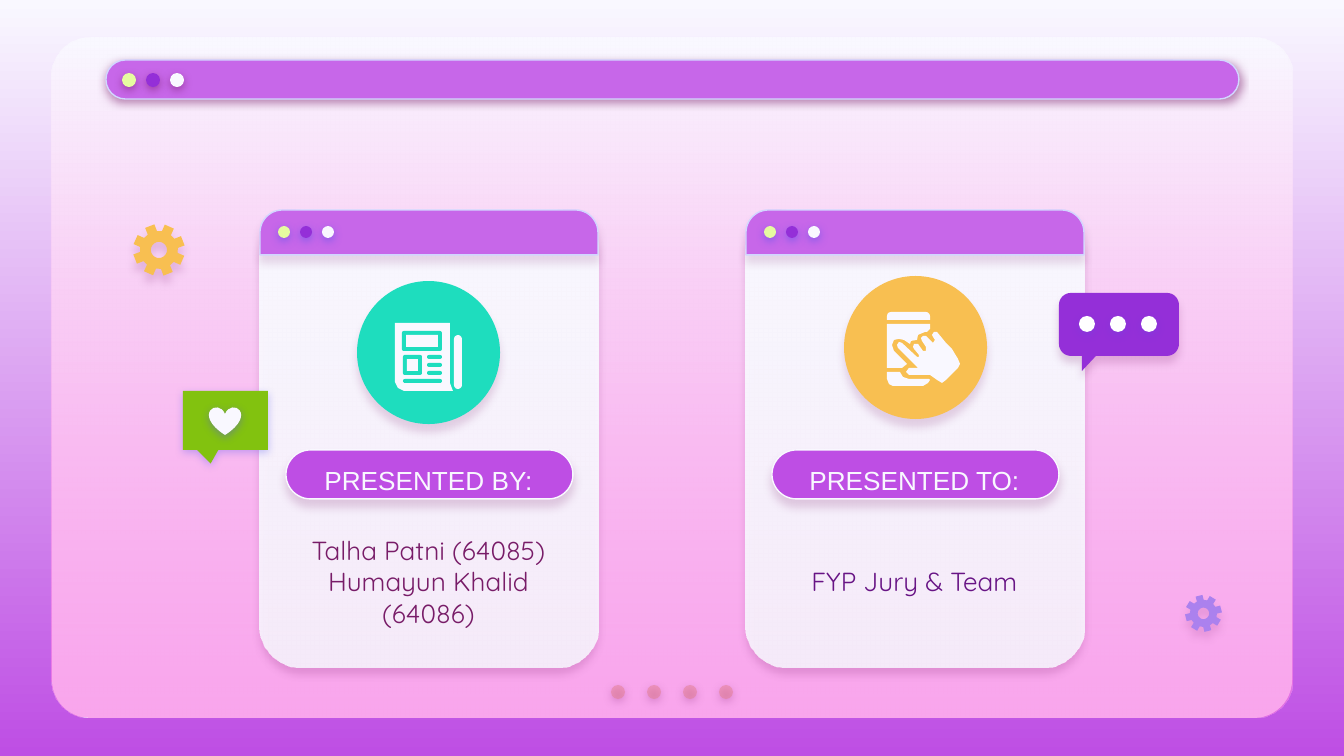
import math

import pptx
import pptx.dml.color
import pptx.enum.shapes
import pptx.enum.text
import pptx.oxml
import pptx.oxml.ns
import pptx.util

RGB = pptx.dml.color.RGBColor
SHAPE = pptx.enum.shapes.MSO_SHAPE

PALE = RGB(0xF9, 0xF8, 0xFF)
WHITE = RGB(0xFF, 0xFF, 0xFF)
ORCHID = RGB(0xBE, 0x4E, 0xE4)
LILAC = RGB(0xC7, 0x67, 0xE9)
PERIWINKLE = RGB(0xD2, 0xD6, 0xFF)
PINK = RGB(0xFA, 0x77, 0xE3)
ROSE = RGB(0xE2, 0x7B, 0x83)
LIME = RGB(0xE6, 0xFB, 0xA0)
VIOLET = RGB(0x94, 0x2F, 0xD8)
LAVENDER = RGB(0xAB, 0x81, 0xEE)
TEAL = RGB(0x1E, 0xDD, 0xBE)
AMBER = RGB(0xF8, 0xBF, 0x51)
GREEN = RGB(0x82, 0xC2, 0x0F)
PLUM = RGB(0x78, 0x1C, 0x68)
INDIGO = RGB(0x68, 0x14, 0x85)
BLUE = RGB(0x53, 0x52, 0xEE)

BUTTONS = (LIME, VIOLET, PALE)


def px(length):
    return round(length * 914400 / 134.4)


def set_alpha(color, percent):
    alpha = pptx.oxml.parse_xml(
        f'<a:alpha {pptx.oxml.ns.nsdecls("a")} val="{percent * 1000}"/>')
    color.append(alpha)


def set_gradient(fill, top, bottom):
    fill.gradient()
    fill.gradient_angle = 270
    for stop, color, position in zip(fill.gradient_stops, (top, bottom), (0, 1)):
        stop.color.rgb = color
        stop.position = position


def finish(shape, fill, line=None, shadow=None):
    if isinstance(fill, RGB):
        shape.fill.solid()
        shape.fill.fore_color.rgb = fill
    else:
        set_gradient(shape.fill, *fill)
    if line is None:
        shape.line.fill.background()
    else:
        shape.line.color.rgb = line
        shape.line.width = pptx.util.Pt(0.75)
    shape.shadow.inherit = False
    if shadow:
        color, opacity, distance = shadow
        effects = shape._element.spPr.find(pptx.oxml.ns.qn("a:effectLst"))
        effects.append(pptx.oxml.parse_xml(
            f'<a:outerShdw {pptx.oxml.ns.nsdecls("a")} blurRad="57150" '
            f'dist="{round(distance * 12700)}" dir="5400000" algn="bl" rotWithShape="0">'
            f'<a:srgbClr val="{color}"><a:alpha val="{opacity * 1000}"/></a:srgbClr>'
            '</a:outerShdw>'))
    return shape


def add_preset(slide, kind, box, fill, line=None, shadow=None, adjust=()):
    shape = slide.shapes.add_shape(kind, *map(px, box))
    for index, value in enumerate(adjust):
        shape.adjustments[index] = value
    return finish(shape, fill, line, shadow)


def add_outline(slide, left, top, contours, fill, shadow=None):
    placed = [[(px(left + x), px(top + y)) for x, y in points] for points in contours]
    builder = slide.shapes.build_freeform(*placed[0][0])
    for index, points in enumerate(placed):
        if index:
            builder.move_to(*points[0])
        builder.add_line_segments(points[1:], close=True)
    return finish(builder.convert_to_shape(), fill, shadow=shadow)


def arc(x, y, radius, start, end, steps):
    angles = [math.radians(start + (end - start) * i / steps) for i in range(steps + 1)]
    return [(x + radius * math.cos(a), y + radius * math.sin(a)) for a in angles]


def add_dots(slide, left, top, size, pitch, colors, shadow):
    return [add_preset(slide, SHAPE.OVAL, (left + i * pitch, top, size, size), color, shadow=shadow)
            for i, color in enumerate(colors)]


def add_label(slide, box, text, font, color, side=13):
    label = slide.shapes.add_textbox(*map(px, box))
    frame = label.text_frame
    frame.word_wrap = True
    frame.vertical_anchor = pptx.enum.text.MSO_ANCHOR.MIDDLE
    frame.margin_left = frame.margin_right = px(side)
    frame.margin_top = frame.margin_bottom = px(13)
    paragraph = frame.paragraphs[0]
    paragraph.text = text
    paragraph.alignment = pptx.enum.text.PP_ALIGN.CENTER
    paragraph.space_after = pptx.util.Pt(12)
    paragraph.font.name = font
    paragraph.font.size = pptx.util.Pt(14)
    paragraph.font.color.rgb = color


def browser_window(slide, left, top, width, height):
    box = (left, top, width, height)
    add_preset(slide, SHAPE.ROUNDED_RECTANGLE, box, PALE, adjust=[0.056])
    panel = add_preset(slide, SHAPE.ROUNDED_RECTANGLE, box, (PALE, PINK), adjust=[0.056])
    set_alpha(list(panel._element.iter(pptx.oxml.ns.qn("a:srgbClr")))[1], 63)
    soft = (PLUM, 50, 1.5)
    for dot in add_dots(slide, left + 559, top + 647, 14, 36, [ROSE] * 4, soft):
        set_alpha(next(dot._element.iter(pptx.oxml.ns.qn("a:srgbClr"))), 44)
    add_preset(slide, SHAPE.ROUNDED_RECTANGLE, (left + 54, top + 22, width - 107, 39),
               LILAC, PERIWINKLE, soft, [0.5])
    add_dots(slide, left + 70, top + 35, 14, 24, BUTTONS, soft)


def card(slide, left, top, width, height, heading, names, name_color, side):
    body = add_preset(slide, SHAPE.ROUNDED_RECTANGLE, (left, top, width, height),
                      (PALE, PALE), shadow=(PLUM, 22, 3.8), adjust=[0.124])
    set_alpha(list(body._element.iter(pptx.oxml.ns.qn("a:srgbClr")))[1], 87)
    add_preset(slide, SHAPE.ROUND_2_SAME_RECTANGLE, (left, top, width, 45),
               LILAC, PERIWINKLE, (PLUM, 15, 3.8), [0.5, 0])
    add_dots(slide, left + 18, top + 16, 12, 22, BUTTONS, (BLUE, 50, 1.5))
    add_preset(slide, SHAPE.ROUNDED_RECTANGLE, (left + 26, top + 240, width - 51, 49),
               ORCHID, PALE, (PLUM, 18, 3.8), [0.5])
    add_label(slide, (left + 32, top + 252, width - 65, 36), heading, "Arial", PALE)
    add_label(slide, (left + 32, top + 309, width - 65, 125), names, "Quicksand", name_color, side)


def newspaper_icon(slide, left, top, size):
    add_preset(slide, SHAPE.OVAL, (left, top, size, size), TEAL, shadow=(PLUM, 16, 4.5))
    page = [(38, 42), (93, 42), (93, 102), (96, 110), (47, 110), (41, 107), (38, 101)]
    add_outline(slide, left, top, [page], PALE)
    add_preset(slide, SHAPE.ROUNDED_RECTANGLE, (left + 97, top + 54, 8, 54), PALE, adjust=[0.5])
    for x, y, width, height in ((45, 50, 40, 20), (46, 74, 19, 20)):
        add_preset(slide, SHAPE.ROUNDED_RECTANGLE, (left + x, top + y, width, height),
                   TEAL, adjust=[0.1])
        add_preset(slide, SHAPE.RECTANGLE, (left + x + 4, top + y + 4, width - 8, height - 8), PALE)
    for row, (x, width) in enumerate([(70, 15)] * 3 + [(46, 39)]):
        add_preset(slide, SHAPE.ROUNDED_RECTANGLE, (left + x, top + 74 + row * 8, width, 4),
                   TEAL, adjust=[0.5])


def phone_icon(slide, left, top, size):
    add_preset(slide, SHAPE.OVAL, (left, top, size, size), AMBER, shadow=(PLUM, 16, 4.5))
    add_preset(slide, SHAPE.ROUND_2_SAME_RECTANGLE, (left + 43, top + 36, 43, 8),
               PALE, adjust=[0.5, 0])
    screen = [(43, 48), (43, 92), (58, 92), (63, 88), (50, 75), (48, 69), (50, 64), (55, 63),
              (60, 64), (66, 68), (67, 65), (73, 64), (74, 59), (81, 56), (83, 56), (86, 53),
              (86, 48)]
    base = [(43, 96), (43, 103), (45, 108), (49, 110), (79, 110), (84, 107), (86, 104),
            (85, 103), (65, 103), (59, 101), (56, 96)]
    hand = [(90, 56), (88, 59), (89, 61), (91, 64), (89, 67), (87, 65), (82, 60), (79, 60),
            (77, 62), (78, 65), (82, 71), (82, 75), (79, 75), (74, 68), (70, 68), (69, 71),
            (70, 73), (75, 79), (75, 81), (73, 81), (58, 67), (55, 66), (53, 69), (54, 72),
            (74, 92), (65, 92), (62, 96), (65, 99), (86, 99), (93, 104), (98, 107), (102, 104),
            (114, 92), (116, 88), (114, 83), (108, 73), (102, 67), (93, 56)]
    for part in (screen, base, hand):
        add_outline(slide, left, top, [part], PALE)


def gear(slide, left, top, size, phase, color, shadow):
    radius = size / 2
    corners = ((-15, 0.73), (-11, 1), (11, 1), (15, 0.73))
    teeth = [arc(radius, radius, radius * reach, phase + tooth * 45 + turn, 0, 1)[0]
             for tooth in range(8) for turn, reach in corners]
    hole = arc(radius, radius, radius * 0.31, 0, 360, 36)
    add_outline(slide, left, top, [teeth, hole], color, shadow)


def heart_bubble(slide, left, top, width, height):
    add_preset(slide, SHAPE.ROUNDED_RECTANGULAR_CALLOUT, (left, top, width, height), GREEN,
               shadow=(BLUE, 31, 1.5), adjust=[-0.174, 0.731, 0])
    add_preset(slide, SHAPE.HEART, (left + 26, top + 16, 32, 28), PALE, shadow=(BLUE, 38, 1.5))


def chat_bubble(slide, left, top, width, height):
    floor, r = height - 15, 12
    outline = (arc(r, r, r, 180, 270, 8) + arc(width - r, r, r, 270, 360, 8)
               + arc(width - r, floor - r, r, 0, 90, 8)
               + [(37, floor), (23, height), (23, floor)]
               + arc(r, floor - r, r, 90, 180, 8))
    add_outline(slide, left, top, [outline], VIOLET, (PLUM, 18, 3.8))
    add_dots(slide, left + 20, top + 23, 16, 31, [WHITE] * 3, (BLUE, 18, 1.5))


def main():
    deck = pptx.Presentation()
    deck.slide_width, deck.slide_height = px(1344), px(756)
    slide = deck.slides.add_slide(deck.slide_layouts[6])
    set_gradient(slide.background.fill, PALE, ORCHID)
    browser_window(slide, 52, 38, 1240, 680)
    card(slide, 260, 210, 338, 457, "PRESENTED BY:",
         "Talha Patni (64085)\vHumayun Khalid (64086)", PLUM, 7)
    card(slide, 746, 210, 338, 457, "PRESENTED TO:", "FYP Jury & Team", INDIGO, 13)
    newspaper_icon(slide, 357, 281, 143)
    phone_icon(slide, 844, 276, 143)
    gear(slide, 133, 224, 52, 24, AMBER, (PLUM, 16, 4.5))
    gear(slide, 1185, 595, 37, 31, LAVENDER, (PLUM, 15, 3.8))
    heart_bubble(slide, 183, 391, 85, 59)
    chat_bubble(slide, 1059, 293, 120, 78)
    deck.save("out.pptx")


if __name__ == "__main__":
    main()
